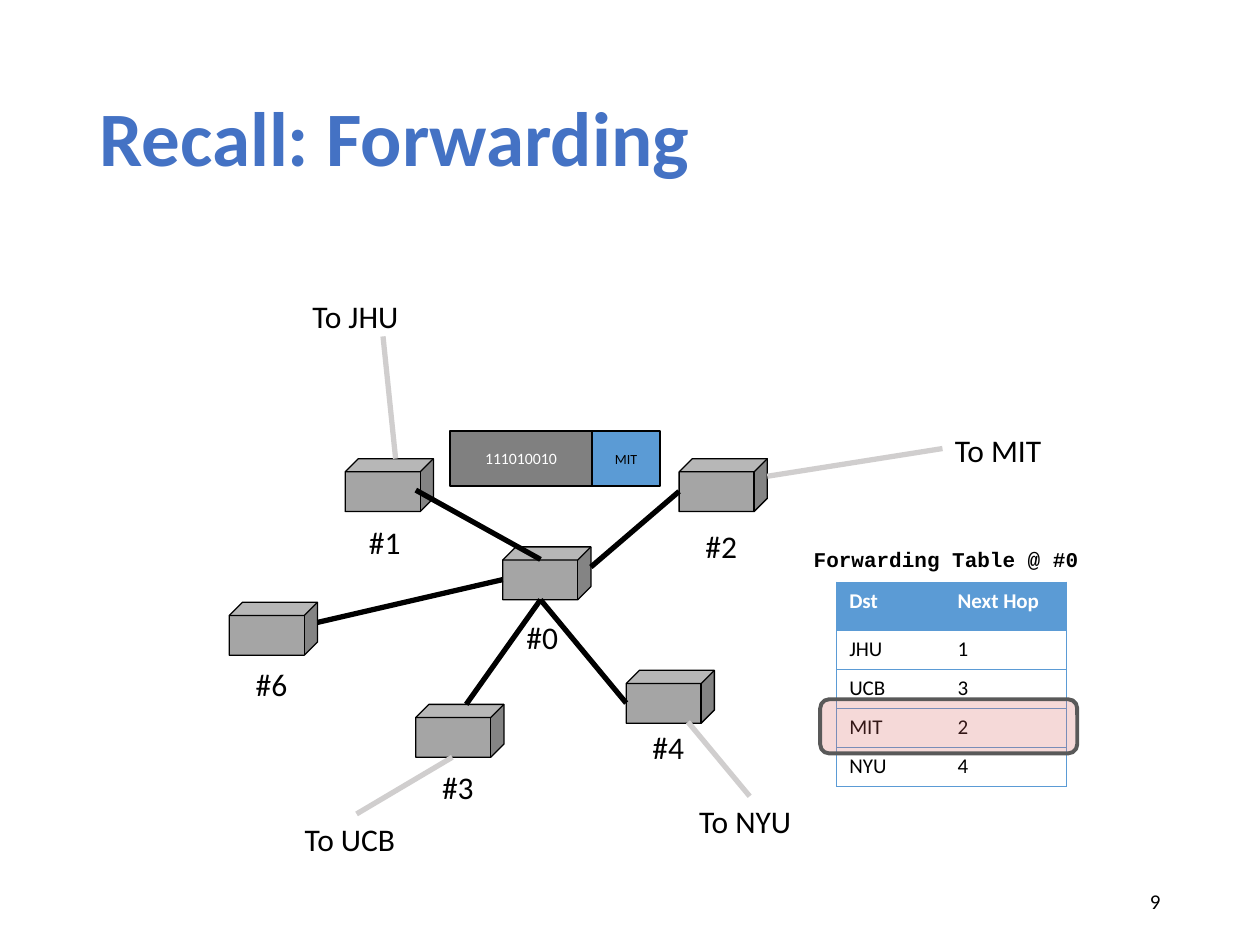
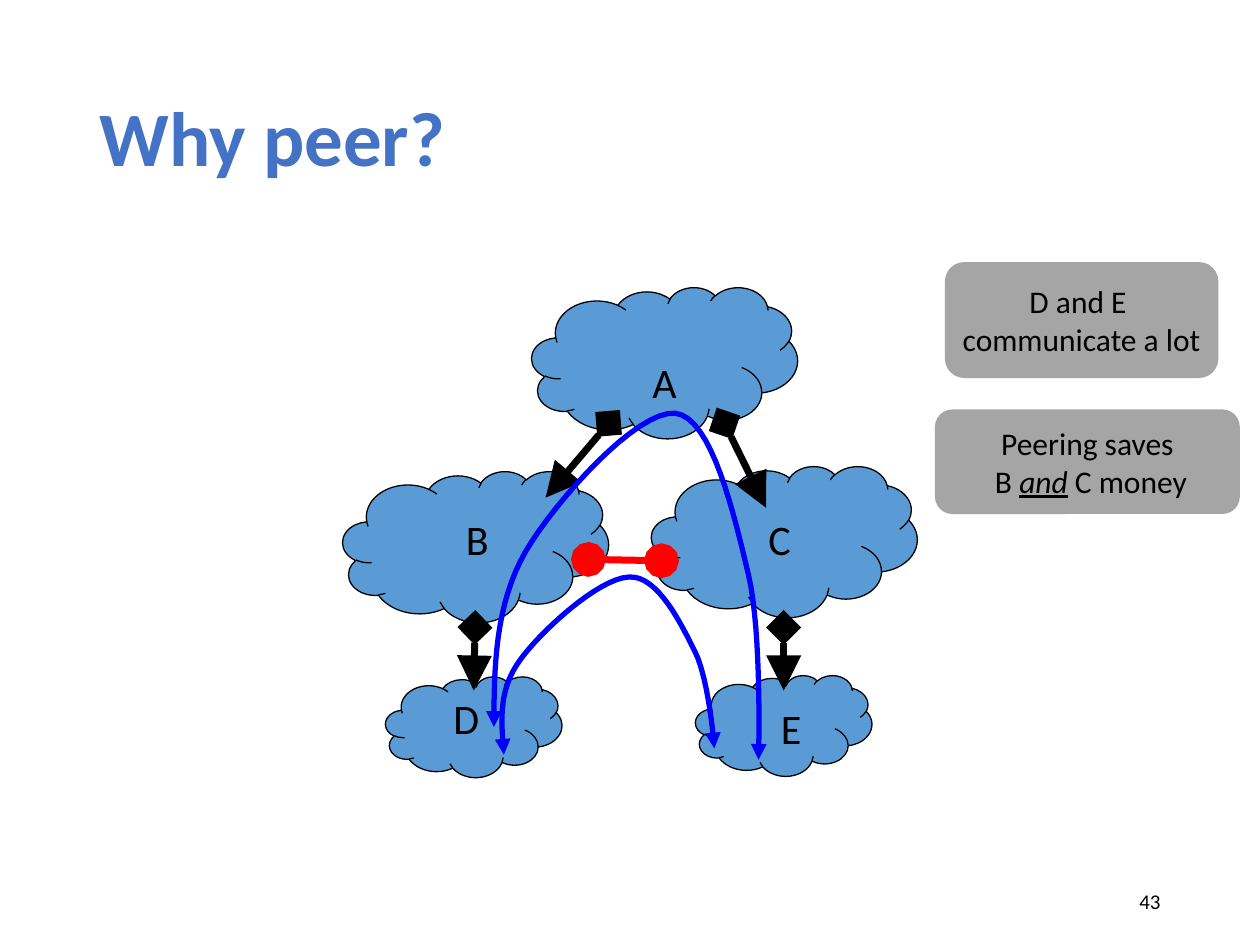
from dataclasses import dataclass
from lxml.etree import SubElement as Sub
from pptx import Presentation
from pptx.dml.color import RGBColor as Rgb
from pptx.enum.shapes import MSO_CONNECTOR as Link, MSO_SHAPE as Kind
from pptx.enum.text import MSO_ANCHOR as Anchor, MSO_AUTO_SIZE as Fit, PP_ALIGN as Align
from pptx.oxml.ns import qn
from pptx.util import Pt

PX = 9144  # 100 px to the inch


@dataclass
class Theme:
    font: str = "Calibri"
    mono: str = "Courier New"
    title: str = "4472C4"
    black: str = "000000"
    white: str = "FFFFFF"
    blue: str = "5B9BD5"
    gray: str = "A5A5A5"
    dark: str = "808080"
    pale: str = "D0CECE"
    frame: str = "595959"
    pink: str = "D9615F"
    red: str = "FF0000"
    route: str = "0000FF"
    head: int = 44
    big: int = 24
    body: int = 18
    small: int = 12
    bits: int = 9
    tag: int = 8


look = Theme()


def put(slide, kind, box, text="", size=look.body, ink=look.black, fill=None, edge=None, width=0.75):
    """Add a preset shape, or a text box that grows when kind is None."""
    area = [n * PX for n in box]
    if kind is None:
        item = slide.shapes.add_textbox(*area)
        item.text_frame.auto_size = Fit.SHAPE_TO_FIT_TEXT
    else:
        item = slide.shapes.add_shape(kind, *area)
        item.shadow.inherit = False
        item.fill.solid()
        item.fill.fore_color.rgb = Rgb.from_string(fill)
        if edge:
            item.line.color.rgb = Rgb.from_string(edge)
            item.line.width = Pt(width)
        else:
            item.line.fill.background()
        item.text_frame.vertical_anchor = Anchor.MIDDLE
    frame = item.text_frame
    frame.word_wrap = False
    para = frame.paragraphs[0]
    para.text = text
    para.alignment = Align.CENTER if kind else Align.LEFT
    for run in para.runs:
        run.font.name, run.font.size = look.font, Pt(size)
        run.font.color.rgb = Rgb.from_string(ink)
    return item


def stroke(item, tint, width, head=None, tail=None, size="med"):
    """Style a connector or an open curve, with its arrowheads."""
    item.line.color.rgb = Rgb.from_string(tint)
    item.line.width = Pt(width)
    props = item._element.spPr
    for end, form in (("a:headEnd", head), ("a:tailEnd", tail)):
        if form:
            Sub(props.find(qn("a:ln")), qn(end), type=form, w=size, len=size)
    Sub(props, qn("a:effectLst"))


deck = Presentation()
deck.slide_width, deck.slide_height = 1000 * PX, 750 * PX

# Titles and page numbers
pages = []
for name, number in (("Recall: Forwarding", "9"), ("Why peer?", "43")):
    page = deck.slides.add_slide(deck.slide_layouts[5])
    title = page.shapes.title
    title.left, title.top, title.width, title.height = [n * PX for n in (69, 40, 862, 145)]
    frame = title.text_frame
    frame.text = name
    frame.auto_size, frame.vertical_anchor = Fit.NONE, Anchor.MIDDLE
    para = frame.paragraphs[0]
    para.alignment, para.line_spacing = Align.LEFT, 0.9
    font = para.runs[0].font
    font.name, font.size, font.bold = look.font, Pt(look.head), True
    font.color.rgb = Rgb.from_string(look.title)
    foot = put(page, None, (706, 695, 225, 40), number, look.small)
    foot.text_frame.auto_size, foot.text_frame.word_wrap = Fit.NONE, True
    foot.text_frame.vertical_anchor = Anchor.MIDDLE
    foot.text_frame.paragraphs[0].alignment = Align.RIGHT
    pages.append(page)
net, peer = pages

# Routers
for x, y in ((274, 364), (539, 364), (399, 434), (330, 559), (497, 532), (182, 478)):
    put(net, Kind.CUBE, (x, y, 70, 42), fill=look.gray, edge=look.black)

# Links between routers, then links leading out
inner = ((429, 444, 330, 389), (539, 390, 469, 450), (370, 559, 429, 476),
         (429, 476, 497, 558), (399, 460, 252, 494))
outer = ((304, 267, 314, 364), (748, 356, 609, 378), (359, 601, 283, 646), (546, 573, 595, 632))
for group, tint in ((inner, look.black), (outer, look.pale)):
    for ends in group:
        wire = net.shapes.add_connector(Link.STRAIGHT, *[n * PX for n in ends])
        stroke(wire, tint, 3)

# Packet
for x, wide, text, size, ink, fill in (
    (357, 113, "111010010", look.bits, look.white, look.dark),
    (470, 54, "MIT", look.tag, look.black, look.blue),
):
    part = put(net, Kind.RECTANGLE, (x, 342, wide, 44), text, size, ink, fill, look.black, 1)
    frame = part.text_frame
    frame.margin_left = frame.margin_right = frame.margin_top = frame.margin_bottom = 0

# Labels
for text, x, y, wide in (
    ("#0", 408, 486, 45), ("#1", 283, 410, 75), ("#2", 550, 413, 75), ("#3", 341, 605, 75),
    ("#4", 508, 573, 75), ("#6", 193, 523, 45), ("To JHU", 238, 231, 89),
    ("To MIT", 748, 337, 91), ("To UCB", 232, 646, 101), ("To NYU", 545, 632, 99),
):
    put(net, None, (x, y, wide, 37), text)

# Forwarding table
head = put(net, None, (636, 429, 234, 30), "Forwarding Table @ #0", look.small)
font = head.text_frame.paragraphs[0].runs[0].font
font.name, font.bold = look.mono, True
rows = (("Dst", "Next Hop"), ("JHU", "1"), ("UCB", "3"), ("MIT", "2"), ("NYU", "4"))
table = net.shapes.add_table(5, 2, *[n * PX for n in (664, 462, 182, 162)]).table
table.horz_banding = False
table.columns[0].width, table.columns[1].width = 86 * PX, 96 * PX
for r, row in enumerate(rows):
    table.rows[r].height = (31 if r else 38) * PX
    for c, text in enumerate(row):
        cell = table.cell(r, c)
        cell.text = text
        font = cell.text_frame.paragraphs[0].runs[0].font
        font.name, font.size, font.bold = look.font, Pt(look.small), r == 0
        font.color.rgb = Rgb.from_string(look.black if r else look.white)
        cell.fill.solid()
        cell.fill.fore_color.rgb = Rgb.from_string(look.white if r else look.blue)
        props = cell._tc.get_or_add_tcPr()
        for spot, side in enumerate("LRTB"):
            rule = Sub(props, qn("a:ln" + side), w=str(Pt(0.5)))
            if side == "RL"[c]:
                Sub(rule, qn("a:noFill"))
            else:
                Sub(Sub(rule, qn("a:solidFill")), qn("a:srgbClr"), val=look.blue)
            props.insert(spot, rule)

# Highlight over the MIT row
mark = put(net, Kind.ROUNDED_RECTANGLE, (651, 555, 204, 43), fill=look.pink, edge=look.frame, width=2.25)
tint = mark._element.spPr.find(qn("a:solidFill")).find(qn("a:srgbClr"))
Sub(tint, qn("a:alpha"), val="24000")

# Network clouds
for x, y, wide, high in ((552, 536, 140, 80), (306, 537, 140, 80), (422, 228, 211, 120),
                         (517, 370, 211, 120), (272, 374, 211, 120)):
    put(peer, Kind.CLOUD, (x, y, wide, high), fill=look.blue, edge=look.black)

# Peering link and provider links
plain = (look.black, "diamond", "triangle")
for ends, (tint, start, stop) in (
    ((467, 444, 525, 445), (look.red, "oval", "oval")),
    ((377, 498, 376, 548), plain),
    ((622, 498, 622, 548), plain),
    ((575, 336, 608, 403), plain),
    ((483, 336, 433, 395), plain),
):
    wire = peer.shapes.add_connector(Link.STRAIGHT, *[n * PX for n in ends])
    stroke(wire, tint, 4, start, stop, "lg")

# Cloud names
for text, x, y in (("A", 508, 278), ("B", 360, 403), ("C", 600, 403), ("D", 350, 545), ("E", 610, 553)):
    put(peer, None, (x, y, 40, 50), text, look.big)

# Traffic routes: chains of cubic curves, drawn in short steps
upper = ((392, 577), (392, 529), (393, 480), (417, 438), (441, 397), (506, 325), (536, 328),
         (565, 331), (583, 410), (594, 456), (605, 502), (602, 603), (602, 603))
lower = ((400, 599), (398, 574), (395, 549), (412, 525), (428, 502), (475, 459), (499, 458),
         (522, 456), (541, 496), (552, 518), (563, 541), (567, 594), (567, 594))
steps = 16
for knots in (upper, lower):
    dots = []
    for k in range(0, len(knots) - 1, 3):
        for n in range(1, steps + 1):
            t = n / steps
            u = 1 - t
            parts = (u ** 3, 3 * u * u * t, 3 * u * t * t, t ** 3)
            dots.append([round(PX * sum(w * p[axis] for w, p in zip(parts, knots[k:k + 4])))
                         for axis in (0, 1)])
    pen = peer.shapes.build_freeform(knots[0][0] * PX, knots[0][1] * PX)
    pen.add_line_segments(dots, close=False)
    curve = pen.convert_to_shape()
    curve.fill.background()
    stroke(curve, look.route, 3, "triangle", "triangle")

# Remarks
put(peer, Kind.ROUNDED_RECTANGLE, (750, 208, 217, 92), "D and E \vcommunicate a lot", fill=look.gray)
note = put(peer, Kind.ROUNDED_RECTANGLE, (742, 325, 242, 83), "Peering saves\v B ", fill=look.gray)
for text, strong in (("and", True), (" C money", False)):
    run = note.text_frame.paragraphs[0].add_run()
    run.text = text
    run.font.name, run.font.size = look.font, Pt(look.body)
    run.font.color.rgb = Rgb.from_string(look.black)
    run.font.italic = run.font.underline = strong

deck.save("out.pptx")
